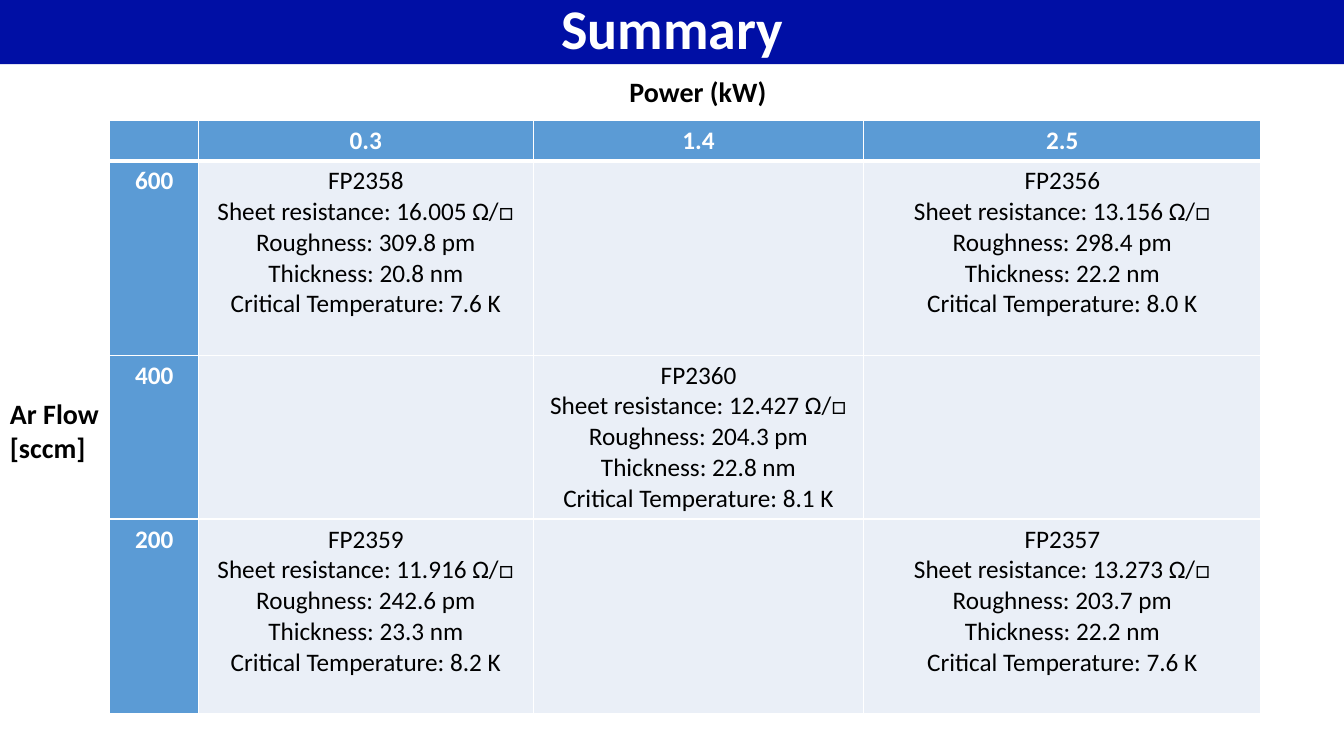
from lxml import etree
from pptx import Presentation
from pptx.dml.color import RGBColor
from pptx.enum.text import MSO_ANCHOR, MSO_AUTO_SIZE, PP_ALIGN
from pptx.oxml.ns import qn
from pptx.util import Pt

NAVY = RGBColor(0x00, 0x0F, 0xA5)
HEADER_BLUE = RGBColor(0x5B, 0x9B, 0xD5)
CELL_TINT = RGBColor(0xEA, 0xEF, 0xF7)
WHITE = RGBColor(0xFF, 0xFF, 0xFF)
BLACK = RGBColor(0x00, 0x00, 0x00)
CENTER = PP_ALIGN.CENTER
MIDDLE = MSO_ANCHOR.MIDDLE
NO_AUTOFIT, GROW = MSO_AUTO_SIZE.NONE, MSO_AUTO_SIZE.SHAPE_TO_FIT_TEXT

SLIDE_WIDTH, SLIDE_HEIGHT = 960, 540
POWERS = ["0.3", "1.4", "2.5"]
FLOWS = ["600", "400", "200"]
COLUMN_WIDTHS = [63.3, 239.1, 236.2, 283.6]
ROW_HEIGHTS = [29.2, 138.8, 117.1, 138.8]
# (flow, power): sample, sheet resistance, roughness, thickness, critical temperature
SAMPLES = {
    ("600", "0.3"): ("FP2358", "16.005", "309.8", "20.8", "7.6"),
    ("600", "2.5"): ("FP2356", "13.156", "298.4", "22.2", "8.0"),
    ("400", "1.4"): ("FP2360", "12.427", "204.3", "22.8", "8.1"),
    ("200", "0.3"): ("FP2359", "11.916", "242.6", "23.3", "8.2"),
    ("200", "2.5"): ("FP2357", "13.273", "203.7", "22.2", "7.6"),
}


def write_lines(frame, lines, size, color, bold, align=None):
    frame.text = "\n".join(lines)
    for paragraph in frame.paragraphs:
        paragraph.alignment = align
        font = paragraph.font
        font.name, font.size, font.bold = "Calibri", Pt(size), bold
        font.color.rgb = color


def place_title(slide, left, top, width, height):
    title = slide.shapes.title
    title.left, title.top = Pt(left), Pt(top)
    title.width, title.height = Pt(width), Pt(height)
    title.fill.solid()
    title.fill.fore_color.rgb = NAVY
    frame = title.text_frame
    write_lines(frame, ["Summary"], 40, WHITE, True, CENTER)
    frame.paragraphs[0].line_spacing = 0.9
    frame.vertical_anchor = MIDDLE
    frame.auto_size = NO_AUTOFIT


def add_axis_label(slide, lines, left, top, width, height):
    label = slide.shapes.add_textbox(Pt(left), Pt(top), Pt(width), Pt(height))
    frame = label.text_frame
    frame.word_wrap = False
    frame.auto_size = GROW
    write_lines(frame, lines, 20, BLACK, True)


def set_borders(cell, bottom_width):
    """Draw white cell borders; they must precede the cell's fill in the XML."""
    properties = cell._tc.get_or_add_tcPr()
    widths = {"a:lnL": 1, "a:lnR": 1, "a:lnT": 1, "a:lnB": bottom_width}
    for position, (side, width) in enumerate(widths.items()):
        line = etree.Element(qn(side), w=str(Pt(width)))
        fill = etree.SubElement(line, qn("a:solidFill"))
        etree.SubElement(fill, qn("a:srgbClr"), val=str(WHITE))
        properties.insert(position, line)


def sample_lines(flow, power):
    if (flow, power) not in SAMPLES:
        return []
    name, resistance, roughness, thickness, temperature = SAMPLES[flow, power]
    return [
        name,
        f"Sheet resistance: {resistance} Ω/□",
        f"Roughness: {roughness} pm",
        f"Thickness: {thickness} nm",
        f"Critical Temperature: {temperature} K",
    ]


def add_results_table(slide, left, top):
    table = slide.shapes.add_table(
        len(ROW_HEIGHTS), len(COLUMN_WIDTHS), Pt(left), Pt(top),
        Pt(sum(COLUMN_WIDTHS)), Pt(sum(ROW_HEIGHTS))).table
    table.first_col = True
    table.horz_banding = False
    for column, width in zip(table.columns, COLUMN_WIDTHS):
        column.width = Pt(width)
    for row, height in zip(table.rows, ROW_HEIGHTS):
        row.height = Pt(height)

    for r, flow in enumerate([""] + FLOWS):
        for c, power in enumerate([""] + POWERS):
            cell = table.cell(r, c)
            is_header = r == 0 or c == 0
            lines = [flow or power] if is_header else sample_lines(flow, power)
            write_lines(cell.text_frame, lines, 18,
                        WHITE if is_header else BLACK, is_header, CENTER)
            cell.fill.solid()
            cell.fill.fore_color.rgb = HEADER_BLUE if is_header else CELL_TINT
            set_borders(cell, 3 if r == 0 else 1)


def build_summary_slide(presentation):
    slide = presentation.slides.add_slide(presentation.slide_layouts[5])
    place_title(slide, 0, -0.7, SLIDE_WIDTH, 46.5)
    add_results_table(slide, 78.5, 85.7)
    add_axis_label(slide, ["Power (kW)"], 442.5, 50, 113, 31.5)
    add_axis_label(slide, ["Ar Flow", "[sccm]"], 0, 280, 78.5, 55.5)


def main():
    presentation = Presentation()
    presentation.slide_width = Pt(SLIDE_WIDTH)
    presentation.slide_height = Pt(SLIDE_HEIGHT)
    build_summary_slide(presentation)
    presentation.save("out.pptx")


if __name__ == "__main__":
    main()
